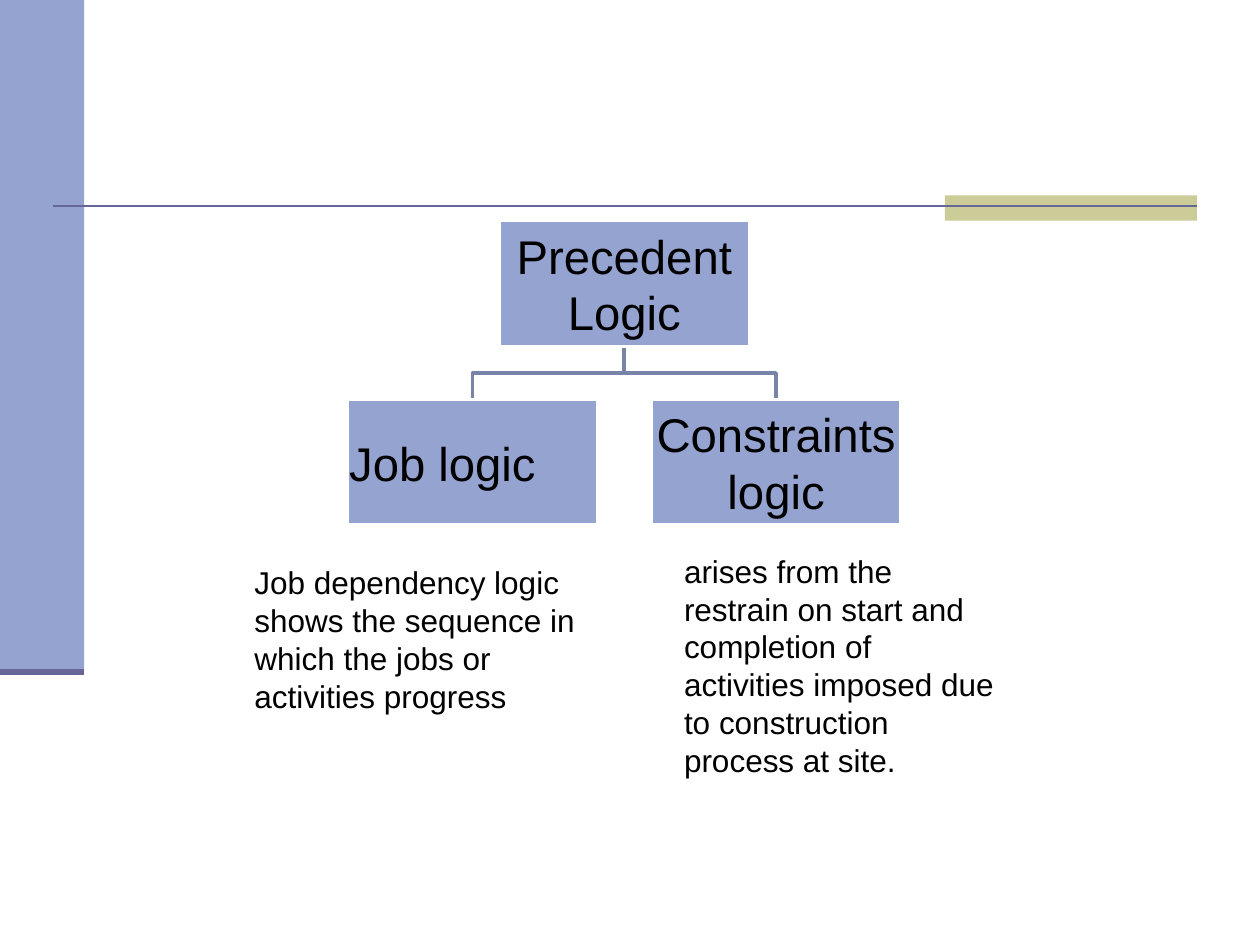
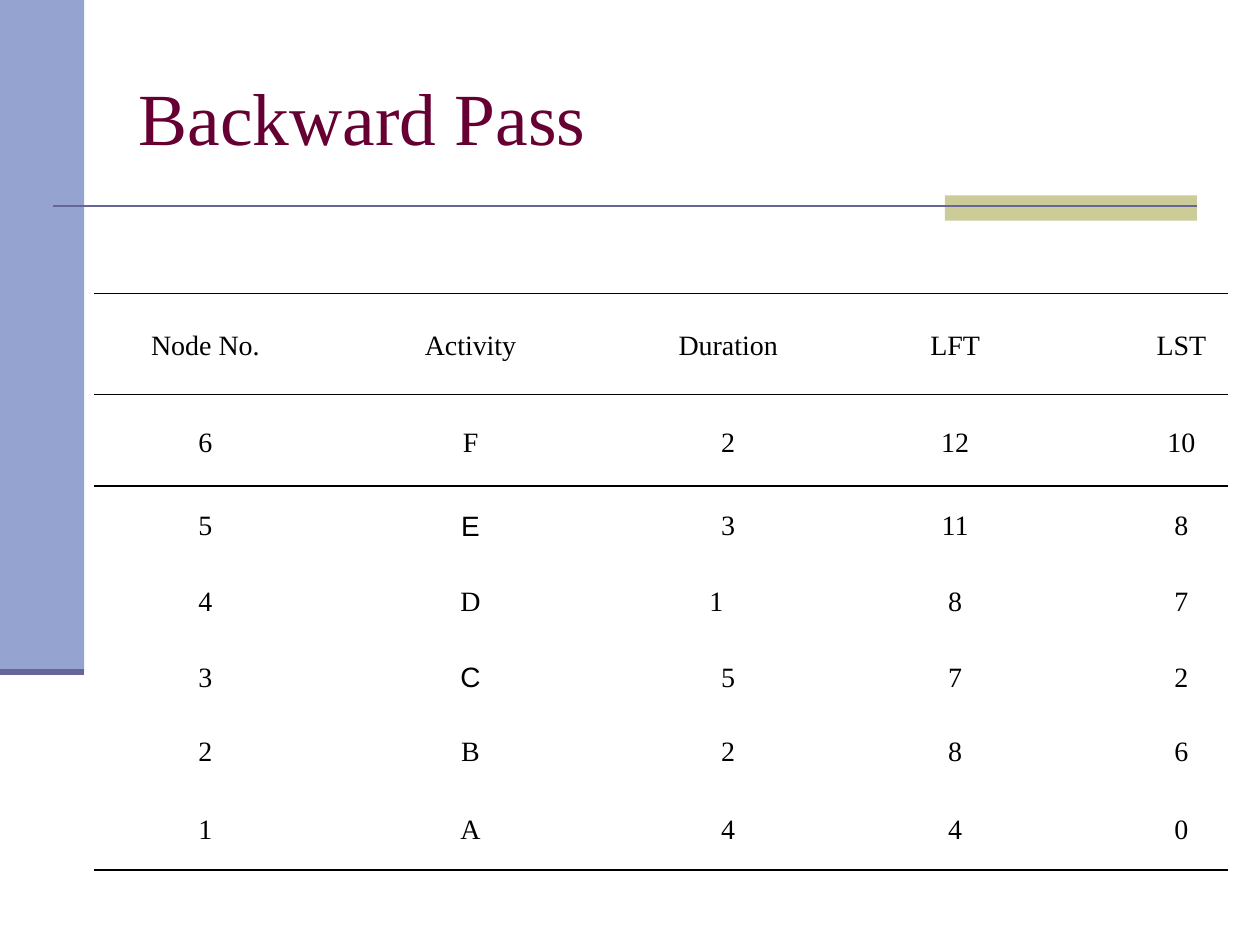
from dataclasses import dataclass

from lxml import etree
from pptx import Presentation
from pptx.dml.color import RGBColor
from pptx.enum.shapes import MSO_CONNECTOR, MSO_SHAPE
from pptx.enum.text import MSO_ANCHOR, PP_ALIGN
from pptx.oxml.ns import qn
from pptx.slide import Slide
from pptx.table import _Cell
from pptx.text.text import TextFrame
from pptx.util import Cm, Pt

RECTANGLE = MSO_SHAPE.RECTANGLE
STRAIGHT = MSO_CONNECTOR.STRAIGHT
LEFT, CENTER = PP_ALIGN.LEFT, PP_ALIGN.CENTER
MIDDLE, TOP = MSO_ANCHOR.MIDDLE, MSO_ANCHOR.TOP
TITLE_ONLY_LAYOUT, BLANK_LAYOUT = 5, 6
NO_GRID_STYLE = "{2D5ABB26-0587-4C30-8999-92F81FD0307C}"


@dataclass(frozen=True)
class Theme:
    """Colours, fonts and type sizes of the deck."""
    band: str = "95A3D1"
    accent: str = "CCCC99"
    rule: str = "666699"
    branch: str = "7783A7"
    title: str = "660033"
    ink: str = "000000"
    paper: str = "FFFFFF"
    sans: str = "Arial"
    serif: str = "Times New Roman"
    title_size: float = 42
    box_size: float = 27
    note_size: float = 18
    table_size: float = 16


THEME = Theme()


@dataclass(frozen=True)
class Box:
    """A rectangle in centimetres."""
    left: float
    top: float
    width: float
    height: float

    @property
    def center(self) -> float:
        return self.left + self.width / 2

    @property
    def bottom(self) -> float:
        return self.top + self.height

    def lengths(self) -> tuple:
        return Cm(self.left), Cm(self.top), Cm(self.width), Cm(self.height)


@dataclass(frozen=True)
class LogicBox:
    text: str
    box: Box
    alignment: PP_ALIGN = CENTER


@dataclass(frozen=True)
class Note:
    text: str
    box: Box


def color(value: str) -> RGBColor:
    return RGBColor.from_string(value)


def write(frame: TextFrame, text: str, size: float, font: str,
          ink: str = THEME.ink, alignment: PP_ALIGN = LEFT,
          anchor: MSO_ANCHOR = TOP) -> None:
    """Fill a text frame with one formatted paragraph."""
    frame.text = text
    frame.word_wrap = True
    frame.vertical_anchor = anchor
    paragraph = frame.paragraphs[0]
    paragraph.alignment = alignment
    for run in paragraph.runs:
        run.font.size = Pt(size)
        run.font.name = font
        run.font.color.rgb = color(ink)


def add_rectangle(slide: Slide, box: Box, fill: str, outline: str = ""):
    shape = slide.shapes.add_shape(RECTANGLE, *box.lengths())
    shape.shadow.inherit = False
    shape.fill.solid()
    shape.fill.fore_color.rgb = color(fill)
    if outline:
        shape.line.color.rgb = color(outline)
        shape.line.width = Pt(2)
    else:
        shape.line.fill.background()
    return shape


def add_rule(slide: Slide, start: float, end: float, y: float,
             width: float) -> None:
    """Draw a horizontal line."""
    connector = slide.shapes.add_connector(
        STRAIGHT, Cm(start), Cm(y), Cm(end), Cm(y))
    connector.line.color.rgb = color(THEME.rule)
    connector.line.width = Pt(width)
    etree.SubElement(connector._element.spPr, qn("a:effectLst"))


def add_slide(presentation, layout: int) -> Slide:
    """Add a slide with the side band, the accent bar and the rules."""
    slide = presentation.slides.add_slide(presentation.slide_layouts[layout])
    add_rectangle(slide, Box(0, 0, 1.7, 13.54), THEME.band)
    add_rectangle(slide, Box(19.05, 3.94, 5.08, 0.51), THEME.accent)
    add_rule(slide, 1.07, 24.13, 4.15, 1.5)
    add_rule(slide, 0, 1.7, 13.54, 3.5)
    return slide


def add_title(slide: Slide, text: str) -> None:
    title = slide.shapes.title
    title.left, title.top, title.width, title.height = Box(
        2.54, 0.76, 21.59, 3.18).lengths()
    write(title.text_frame, text, THEME.title_size, THEME.serif,
          THEME.title, anchor=MIDDLE)


# Logic tree
def add_branch(slide: Slide, parent: Box, child: Box) -> None:
    """Draw an elbow from the parent's foot to the child's head."""
    middle = (parent.bottom + child.top) / 2
    builder = slide.shapes.build_freeform(
        Cm(parent.center), Cm(parent.bottom))
    builder.add_line_segments([
        (Cm(parent.center), Cm(middle)),
        (Cm(child.center), Cm(middle)),
        (Cm(child.center), Cm(child.top)),
    ], close=False)
    branch = builder.convert_to_shape()
    branch.shadow.inherit = False
    branch.fill.background()
    branch.line.color.rgb = color(THEME.branch)
    branch.line.width = Pt(2)


def add_logic_box(slide: Slide, item: LogicBox) -> None:
    shape = add_rectangle(slide, item.box, THEME.band, THEME.paper)
    frame = shape.text_frame
    frame.margin_left = frame.margin_right = Cm(0.04)
    frame.margin_top = frame.margin_bottom = Cm(0.04)
    write(frame, item.text, THEME.box_size, THEME.sans,
          alignment=item.alignment, anchor=MIDDLE)


def add_note(slide: Slide, note: Note) -> None:
    text_box = slide.shapes.add_textbox(*note.box.lengths())
    write(text_box.text_frame, note.text, THEME.note_size, THEME.sans)


def build_logic_slide(presentation) -> None:
    slide = add_slide(presentation, BLANK_LAYOUT)
    width, height, offset = 5.05, 2.54, 3.06
    left, top, child_top = 10.06, 4.45, 8.05
    root = LogicBox("Precedent Logic", Box(left, top, width, height))
    children = [
        LogicBox("Job logic", Box(left - offset, child_top, width, height),
                 LEFT),
        LogicBox("Constraints logic",
                 Box(left + offset, child_top, width, height)),
    ]
    for child in children:
        add_branch(slide, root.box, child.box)
    for item in [root, *children]:
        add_logic_box(slide, item)

    notes = [
        Note("Job dependency logic shows the sequence in which the jobs or "
             "activities progress", Box(4.88, 11.23, 6.99, 3.3)),
        Note("arises from the restrain on start and completion of activities "
             "imposed due to construction process at site.",
             Box(13.54, 11, 6.78, 4.88)),
    ]
    for note in notes:
        add_note(slide, note)


# Backward pass table
COLUMN_WIDTHS = [4.62, 6.07, 4.32, 4.83, 3.02]
ROW_HEIGHTS = [2.03, 1.85, 1.53, 1.53, 1.53, 1.45, 1.7]
ROWS = [
    ["Node No.", "Activity", "Duration", "LFT", "LST"],
    ["6", "F", "2", "12", "10"],
    ["5", "E", "3", "11", "8"],
    ["4", "D", "1", "8", "7"],
    ["3", "C", "5", "7", "2"],
    ["2", "B", "2", "8", "6"],
    ["1", "A", "4", "4", "0"],
]
SANS_CELLS = {"E", "C"}
LEFT_ALIGNED_CELL = (3, 2)


def add_border(cell: _Cell, tag: str, position: int) -> None:
    """Add a black one-point edge to a cell."""
    line = etree.Element(qn(tag), w=str(Pt(1)))
    fill = etree.SubElement(line, qn("a:solidFill"))
    etree.SubElement(fill, qn("a:srgbClr"), val=THEME.ink)
    cell._tc.get_or_add_tcPr().insert(position, line)


def format_cell(cell: _Cell, text: str, row: int, column: int) -> None:
    is_left = (row, column) == LEFT_ALIGNED_CELL
    is_last_column = column == len(COLUMN_WIDTHS) - 1
    font = THEME.sans if text in SANS_CELLS else THEME.serif
    write(cell.text_frame, text, THEME.table_size, font,
          alignment=LEFT if is_left else CENTER)
    cell.text_frame.paragraphs[0].line_spacing = 1.15
    cell.vertical_anchor = MIDDLE
    cell.margin_top = cell.margin_bottom = 0
    cell.margin_left = Cm(1.71 if is_left else 1.27 if is_last_column else 0)
    cell.margin_right = Cm(0.14)
    cell.fill.background()

    edges = []
    if row in (0, 1):
        edges.append("a:lnT")
    if row in (0, len(ROWS) - 1):
        edges.append("a:lnB")
    for position, tag in enumerate(edges):
        add_border(cell, tag, position)


def build_table_slide(presentation) -> None:
    slide = add_slide(presentation, TITLE_ONLY_LAYOUT)
    add_title(slide, "Backward Pass")
    box = Box(1.9, 5.92, sum(COLUMN_WIDTHS), sum(ROW_HEIGHTS))
    table = slide.shapes.add_table(
        len(ROWS), len(COLUMN_WIDTHS), *box.lengths()).table
    table.first_row = table.horz_banding = False
    table._tbl.tblPr.find(qn("a:tableStyleId")).text = NO_GRID_STYLE
    for column, width in zip(table.columns, COLUMN_WIDTHS):
        column.width = Cm(width)
    for row, height in zip(table.rows, ROW_HEIGHTS):
        row.height = Cm(height)
    for row_index, values in enumerate(ROWS):
        for column_index, text in enumerate(values):
            format_cell(table.cell(row_index, column_index), text,
                        row_index, column_index)


def main() -> None:
    presentation = Presentation()
    presentation.slide_width = Cm(25.4)
    presentation.slide_height = Cm(19.05)
    build_logic_slide(presentation)
    build_table_slide(presentation)
    presentation.save("out.pptx")


main()
